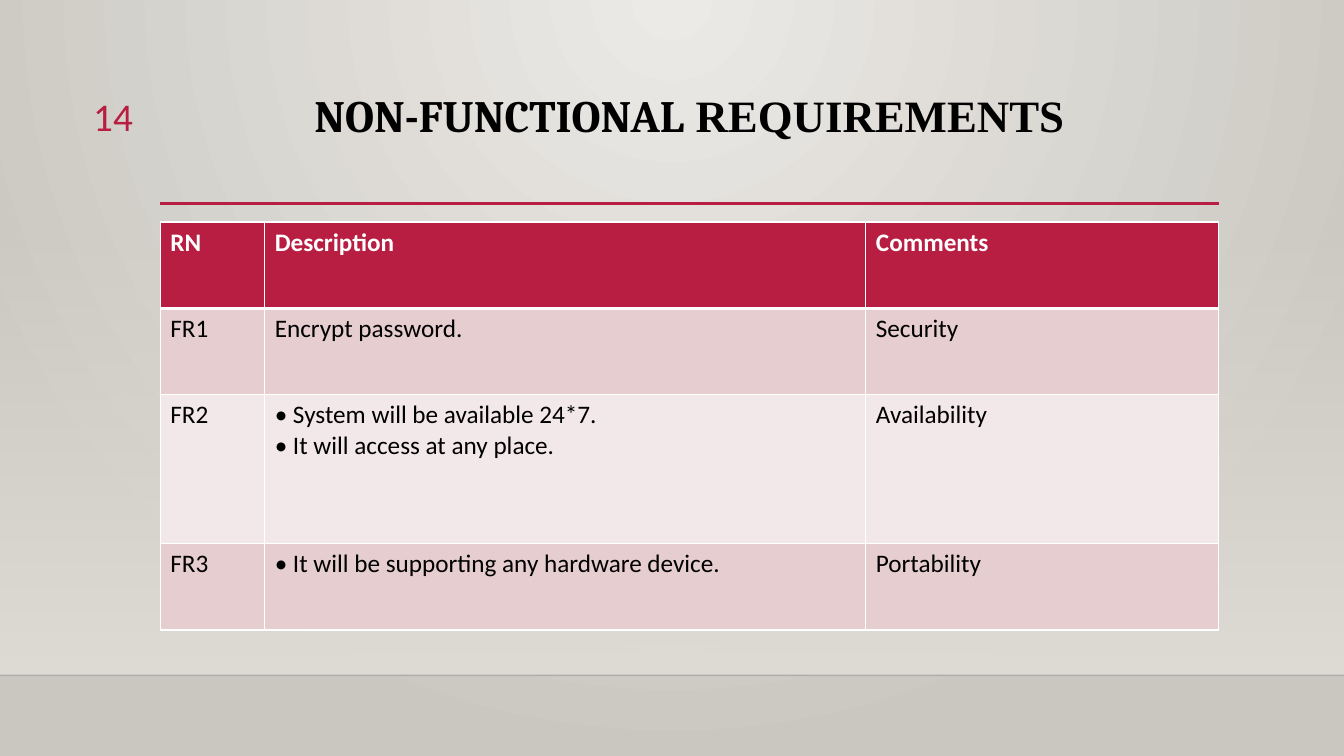
from dataclasses import dataclass

from lxml import etree
from pptx import Presentation
from pptx.dml.color import RGBColor
from pptx.enum.shapes import MSO_CONNECTOR as Connector, MSO_SHAPE as Shape
from pptx.enum.text import MSO_ANCHOR as Anchor, PP_ALIGN as Align
from pptx.oxml import parse_xml
from pptx.oxml.ns import qn
from pptx.util import Pt

DRAWING = 'xmlns:a="http://schemas.openxmlformats.org/drawingml/2006/main"'


@dataclass(frozen=True)
class Theme:
    accent: str = "B71E42"
    black: str = "000000"
    white: str = "FFFFFF"
    glow: str = "ECEAE7"
    edge: str = "CAC7C1"
    wall: str = "DFDBD5"
    floor_line: str = "000001"
    bands: tuple = ("E6CDCF", "F3E8E9")
    body_font: str = "Calibri"
    title_font: str = "Cambria"
    title_font_end: str = "Times New Roman"
    title_size: float = 32
    number_size: float = 28
    table_size: float = 18


def add_text(para, text, font, size, color, bold=False):
    span = para.add_run()
    span.text = text
    span.font.name = font
    span.font.size = Pt(size)
    span.font.bold = bold
    span.font.color.rgb = RGBColor.from_string(color)


def gradient(stops, direction):
    """Build a gradient fill from (position, colour, opacity) stops in percent."""
    marks = "".join(
        f'<a:gs pos="{place * 1000}"><a:srgbClr val="{color}">'
        f'<a:alpha val="{opacity * 1000}"/></a:srgbClr></a:gs>'
        for place, color, opacity in stops)
    return parse_xml(f'<a:gradFill {DRAWING} rotWithShape="1">'
                     f'<a:gsLst>{marks}</a:gsLst>{direction}</a:gradFill>')


def swap_gradient(parent, fill):
    old = parent.find(qn("a:gradFill"))
    parent.replace(old, fill)


class SlideBuilder:
    def __init__(self, page, theme):
        self.page, self.theme = page, theme

    def background(self):
        self.page.background.fill.gradient()
        holder = self.page._element.find(".//" + qn("p:bgPr"))
        swap_gradient(holder, gradient(
            [(0, self.theme.glow, 100), (100, self.theme.edge, 100)],
            '<a:path path="circle">'
            '<a:fillToRect l="43000" t="0" r="43000" b="100000"/></a:path>'))

    def fading_panel(self, left, top, width, height, color):
        panel = self.page.shapes.add_shape(
            Shape.RECTANGLE, Pt(left), Pt(top), Pt(width), Pt(height))
        panel.shadow.inherit = False
        panel.line.fill.background()
        panel.fill.gradient()
        swap_gradient(panel._element.spPr, gradient(
            [(0, color, 0), (100, color, 100)],
            '<a:lin ang="5400000" scaled="0"/>'))

    def rule(self, left, top, width, color, weight, opacity=100):
        line = self.page.shapes.add_connector(
            Connector.STRAIGHT, Pt(left), Pt(top), Pt(left + width), Pt(top))
        line.line.color.rgb = RGBColor.from_string(color)
        line.line.width = Pt(weight)
        properties = line._element.spPr
        if opacity < 100:
            tint = properties.find(".//" + qn("a:srgbClr"))
            etree.SubElement(tint, qn("a:alpha"), val=str(opacity * 1000))
        etree.SubElement(properties, qn("a:effectLst"))

    def text_box(self, left, top, width, height, spans, align, spacing=1.0):
        box = self.page.shapes.add_textbox(
            Pt(left), Pt(top), Pt(width), Pt(height))
        frame = box.text_frame
        frame.word_wrap = True
        frame.vertical_anchor = Anchor.TOP
        para = frame.paragraphs[0]
        para.alignment = align
        para.line_spacing = spacing
        for text, style in spans:
            add_text(para, text, **style)

    def cell_borders(self, cell, **weights):
        properties = cell._tc.get_or_add_tcPr()
        for side, weight in weights.items():
            properties.append(parse_xml(
                f'<a:ln{side} {DRAWING} w="{Pt(weight)}"><a:solidFill>'
                f'<a:srgbClr val="{self.theme.white}"/></a:solidFill></a:ln{side}>'))

    def table(self, left, top, widths, heights, rows):
        theme = self.theme
        table = self.page.shapes.add_table(
            len(rows), len(widths), Pt(left), Pt(top),
            Pt(sum(widths)), Pt(sum(heights))).table
        table.horz_banding = False
        for column, width in zip(table.columns, widths):
            column.width = Pt(width)
        for index, (row, height, texts) in enumerate(zip(table.rows, heights, rows)):
            row.height = Pt(height)
            header = index == 0
            fill = theme.accent if header else theme.bands[(index - 1) % 2]
            for cell, text in zip(row.cells, texts):
                self.cell_borders(cell, L=1, R=1, T=3 if index == 1 else 1,
                                  B=3 if header else 1)
                cell.fill.solid()
                cell.fill.fore_color.rgb = RGBColor.from_string(fill)
                frame = cell.text_frame
                for number, line in enumerate(text.split("\n")):
                    para = frame.add_paragraph() if number else frame.paragraphs[0]
                    add_text(para, line, theme.body_font, theme.table_size,
                             theme.white if header else theme.black, header)


def main():
    theme = Theme()
    deck = Presentation()
    deck.slide_width, deck.slide_height = Pt(960), Pt(540)
    page = deck.slides.add_slide(deck.slide_layouts[6])
    builder = SlideBuilder(page, theme)
    left, width, floor = 114.5, 756, 482.4

    # Backdrop: wall, floor edge and title rule
    builder.background()
    builder.fading_panel(0, 159, 960, floor - 159, theme.wall)
    builder.rule(0, floor, 960, theme.floor_line, 1, opacity=20)
    builder.rule(left, 145.3, width, theme.accent, 2.5)

    # Title
    heading = dict(size=theme.title_size, color=theme.black, bold=True)
    builder.text_box(left, 63.2, width, 82.5, [
        ("NON-FUNCTIONAL", dict(heading, font=theme.title_font)),
        (" REQUIREMENTS", dict(heading, font=theme.title_font_end)),
    ], Align.CENTER, spacing=0.9)

    # Requirements table
    builder.table(left, 158.6, [74.6, 429.4, 252], [61.7, 61.7, 106.4, 61.7], [
        ("RN", "Description", "Comments"),
        ("FR1", "Encrypt password.", "Security"),
        ("FR2", "• System will be available 24*7.\n• It will access at any place.",
         "Availability"),
        ("FR3", "• It will be supporting any hardware device.", "Portability"),
    ])

    # Slide number
    builder.text_box(38, 62.6, 64, 39.6, [
        ("14", dict(font=theme.body_font, size=theme.number_size,
                    color=theme.accent)),
    ], Align.RIGHT)

    deck.save("out.pptx")


if __name__ == "__main__":
    main()
